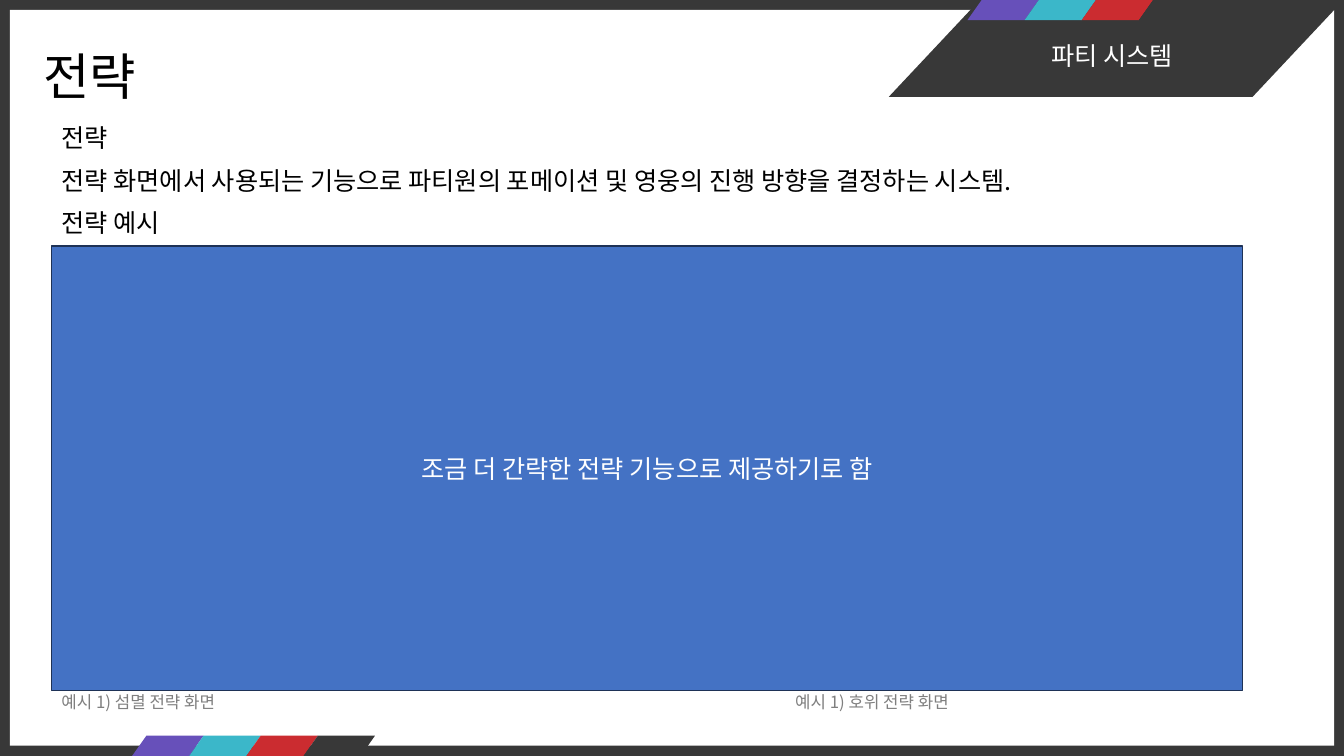
from lxml import etree
from pptx import Presentation
from pptx.dml.color import RGBColor
from pptx.enum.shapes import MSO_SHAPE as Shape
from pptx.enum.text import MSO_ANCHOR as Anchor, MSO_AUTO_SIZE as AutoSize, PP_ALIGN as Align
from pptx.oxml.ns import qn
from pptx.util import Cm, Pt

FONT = "Noto Sans CJK KR"
DARK = RGBColor(0x38, 0x38, 0x38)
WHITE = RGBColor(0xFF, 0xFF, 0xFF)
BLACK = RGBColor(0x00, 0x00, 0x00)
GRAY = RGBColor(0x7F, 0x7F, 0x7F)
PURPLE = RGBColor(0x67, 0x50, 0xBA)
TEAL = RGBColor(0x3B, 0xB7, 0xC9)
RED = RGBColor(0xCB, 0x2C, 0x30)
BLUE = RGBColor(0x44, 0x72, 0xC4)
NAVY = RGBColor(0x1E, 0x32, 0x56)

presentation = Presentation()
presentation.slide_width = Cm(33.87)
presentation.slide_height = Cm(19.05)
slide = presentation.slides.add_slide(presentation.slide_layouts[6])
slide.background.fill.solid()
slide.background.fill.fore_color.rgb = DARK


def add_block(kind, left, top, width, height, color):
    shape = slide.shapes.add_shape(kind, Cm(left), Cm(top), Cm(width), Cm(height))
    shape.shadow.inherit = False
    shape.fill.solid()
    shape.fill.fore_color.rgb = color
    shape.line.fill.background()
    return shape


def write(shape, text, size, color, align=Align.LEFT):
    """Fill the shape with one paragraph, set for Latin and Korean letters."""
    shape.text_frame.text = text
    shape.text_frame.word_wrap = True
    paragraph = shape.text_frame.paragraphs[0]
    paragraph.alignment = align
    font = paragraph.runs[0].font
    font.size = Pt(size)
    font.color.rgb = color
    font.name = FONT
    east_asian = etree.SubElement(paragraph.runs[0]._r.get_or_add_rPr(), qn("a:ea"))
    east_asian.set("typeface", FONT)


# Frame, header tab and stripes
add_block(Shape.RECTANGLE, 0.25, 0.25, 33.37, 18.54, WHITE)
add_block(Shape.FLOWCHART_DATA, 22.4, 0, 11.46, 2.44, DARK)
for first_left, top in ((24.38, 0), (3.33, 18.54)):
    for index, color in enumerate((PURPLE, TEAL, RED, DARK)):
        add_block(Shape.FLOWCHART_DATA, first_left + index * 1.44, top, 1.8, 0.51, color)

# Title, body lines and captions
for text, left, top, width, height, size, color, align in (
    ("전략", 0.84, 1.02, 16.33, 1.8, 36, BLACK, Align.LEFT),
    (" 파티 시스템", 23.9, 0.89, 8.1, 1.02, 18, WHITE, Align.CENTER),
    ("전략", 1.3, 2.97, 14.35, 1.02, 18, BLACK, Align.LEFT),
    ("전략 화면에서 사용되는 기능으로 파티원의 포메이션 및 영웅의 진행 방향을 결정하는 시스템.",
     1.3, 4.04, 30.94, 1.02, 18, BLACK, Align.LEFT),
    ("전략 예시", 1.3, 5.11, 14.35, 1.02, 18, BLACK, Align.LEFT),
    ("예시 1) 섬멸 전략 화면", 1.3, 17.3, 5.69, 0.76, 12, GRAY, Align.LEFT),
    ("예시 1) 호위 전략 화면", 19.79, 17.3, 5.69, 0.76, 12, GRAY, Align.LEFT),
):
    text_box = slide.shapes.add_textbox(Cm(left), Cm(top), Cm(width), Cm(height))
    write(text_box, text, size, color, align)
    text_box.text_frame.auto_size = AutoSize.SHAPE_TO_FIT_TEXT

# Example panel
panel = add_block(Shape.RECTANGLE, 1.3, 6.2, 30.02, 11.2, BLUE)
panel.line.color.rgb = NAVY
panel.line.width = Pt(1)
write(panel, "조금 더 간략한 전략 기능으로 제공하기로 함", 18, WHITE, Align.CENTER)
panel.text_frame.vertical_anchor = Anchor.MIDDLE

presentation.save("out.pptx")
